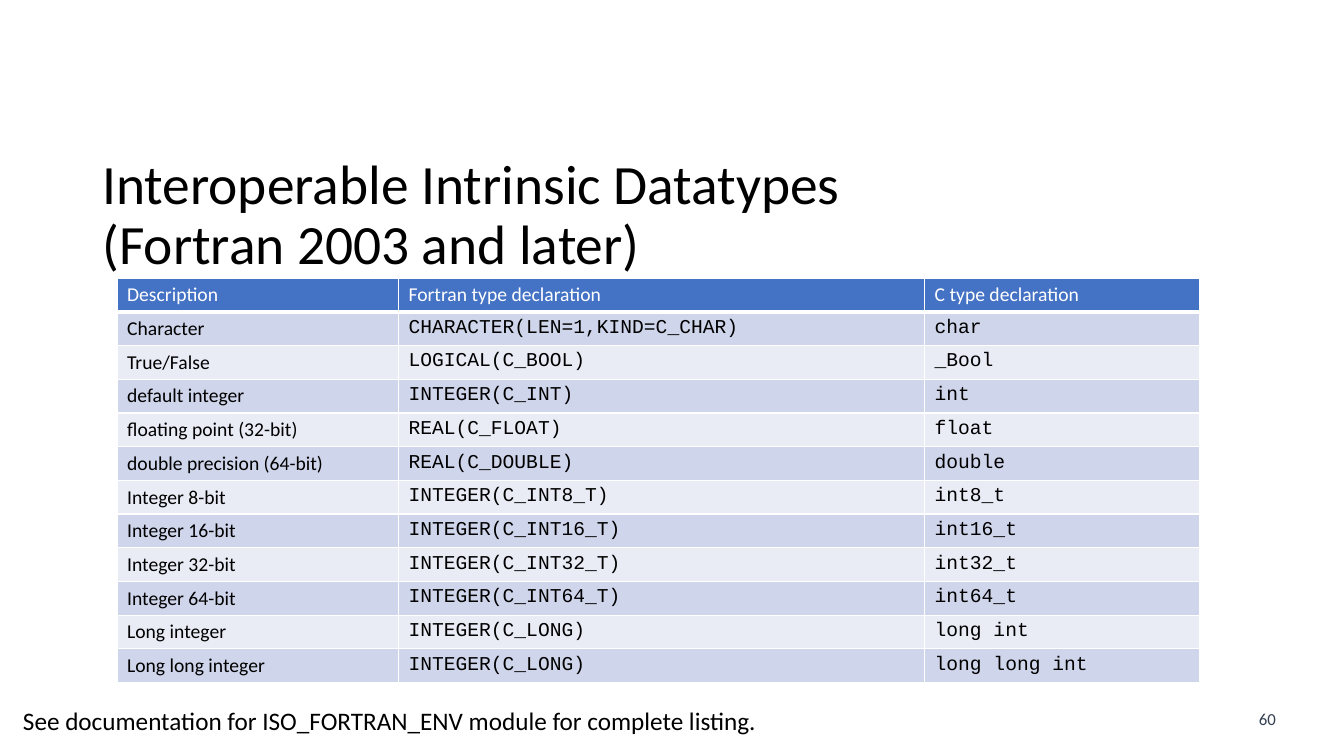
from dataclasses import dataclass

from lxml.etree import SubElement
from pptx import Presentation
from pptx.dml.color import RGBColor as RGB
from pptx.enum.text import MSO_ANCHOR as Anchor, PP_ALIGN as Align
from pptx.oxml.ns import qn
from pptx.util import Cm, Pt


@dataclass(frozen=True)
class Theme:
    sans: str = "Calibri"
    mono: str = "Courier New"
    ink: str = "000000"
    white: str = "FFFFFF"
    muted: str = "333F50"
    header: str = "4472C4"
    bands: tuple = ("CFD5EA", "E9EBF5")
    title_size: float = 39.6
    note_size: float = 18
    cell_size: float = 14
    number_size: float = 12
    rule: float = 1
    header_rule: float = 3


THEME = Theme()

HEADINGS = ("Description", "Fortran type declaration", "C type declaration")
DATATYPES = (
    ("Character", "CHARACTER(LEN=1,KIND=C_CHAR)", "char"),
    ("True/False", "LOGICAL(C_BOOL)", "_Bool"),
    ("default integer", "INTEGER(C_INT)", "int"),
    ("floating point (32-bit)", "REAL(C_FLOAT)", "float"),
    ("double precision (64-bit)", "REAL(C_DOUBLE)", "double"),
    ("Integer 8-bit", "INTEGER(C_INT8_T)", "int8_t"),
    ("Integer 16-bit", "INTEGER(C_INT16_T)", "int16_t"),
    ("Integer 32-bit", "INTEGER(C_INT32_T)", "int32_t"),
    ("Integer 64-bit", "INTEGER(C_INT64_T)", "int64_t"),
    ("Long integer", "INTEGER(C_LONG)", "long int"),
    ("Long long integer", "INTEGER(C_LONG)", "long long int"),
)
COLUMN_SHARES = (0.26, 0.486, 0.254)


def style_runs(paragraph, size, color, font=THEME.sans):
    for run in paragraph.runs:
        run.font.size = Pt(size)
        run.font.name = font
        run.font.color.rgb = RGB.from_string(color)


def add_text(slide, box, text, size, color=THEME.ink, wrap=True):
    frame = slide.shapes.add_textbox(*box).text_frame
    frame.word_wrap = wrap
    frame.text = text
    style_runs(frame.paragraphs[0], size, color)
    return frame


def add_title(slide, box):
    title = add_text(slide, box,
                     "Interoperable Intrinsic Datatypes\v(Fortran 2003 and later)",
                     THEME.title_size)
    title.vertical_anchor = Anchor.MIDDLE
    title.paragraphs[0].line_spacing = 0.9


def add_borders(cell, bottom):
    properties = cell._tc.get_or_add_tcPr()
    widths = {"lnL": THEME.rule, "lnR": THEME.rule, "lnT": THEME.rule, "lnB": bottom}
    for side, width in widths.items():
        line = SubElement(properties, qn(f"a:{side}"), w=str(Pt(width)))
        fill = SubElement(line, qn("a:solidFill"))
        SubElement(fill, qn("a:srgbClr"), val=THEME.white)


def fill_cell(cell, text, fill, color, font, bottom):
    add_borders(cell, bottom)
    cell.fill.solid()
    cell.fill.fore_color.rgb = RGB.from_string(fill)
    cell.text = text
    style_runs(cell.text_frame.paragraphs[0], THEME.cell_size, color, font)


def add_datatype_table(slide, box):
    left, top, width, height = box
    rows = (HEADINGS, *DATATYPES)
    table = slide.shapes.add_table(len(rows), len(HEADINGS), *box).table
    for column, share in zip(table.columns, COLUMN_SHARES):
        column.width = int(width * share)
    for row in table.rows:
        row.height = height // len(rows)

    # Header row
    for c, heading in enumerate(HEADINGS):
        fill_cell(table.cell(0, c), heading, THEME.header, THEME.white,
                  THEME.sans, THEME.header_rule)

    # Banded rows, with code in the two declaration columns
    for r, datatype in enumerate(DATATYPES):
        for c, text in enumerate(datatype):
            fill_cell(table.cell(r + 1, c), text, THEME.bands[r % 2], THEME.ink,
                      THEME.mono if c else THEME.sans, THEME.rule)


def add_footer(slide, box):
    left, top, width, height = box
    number_width = Cm(1.2)
    add_text(slide, (left, top, Cm(19.35), height),
             "See documentation for ISO_FORTRAN_ENV module for complete listing.",
             THEME.note_size, wrap=False)
    number = add_text(slide, (left + width - number_width, top + Cm(0.08),
                              number_width, Cm(0.76)),
                      "60", THEME.number_size, THEME.muted)
    number.paragraphs[0].alignment = Align.CENTER


def main():
    deck = Presentation()
    deck.slide_width, deck.slide_height = Cm(33.87), Cm(19.05)
    slide = deck.slides.add_slide(deck.slide_layouts[6])
    add_title(slide, (Cm(2.33), Cm(4.57), Cm(29.2), Cm(1.78)))
    add_datatype_table(slide, (Cm(2.95), Cm(7.01), Cm(27.28), Cm(10.2)))
    add_footer(slide, (Cm(0.33), Cm(17.65), Cm(32.21), Cm(1.02)))
    deck.save("out.pptx")


if __name__ == "__main__":
    main()
